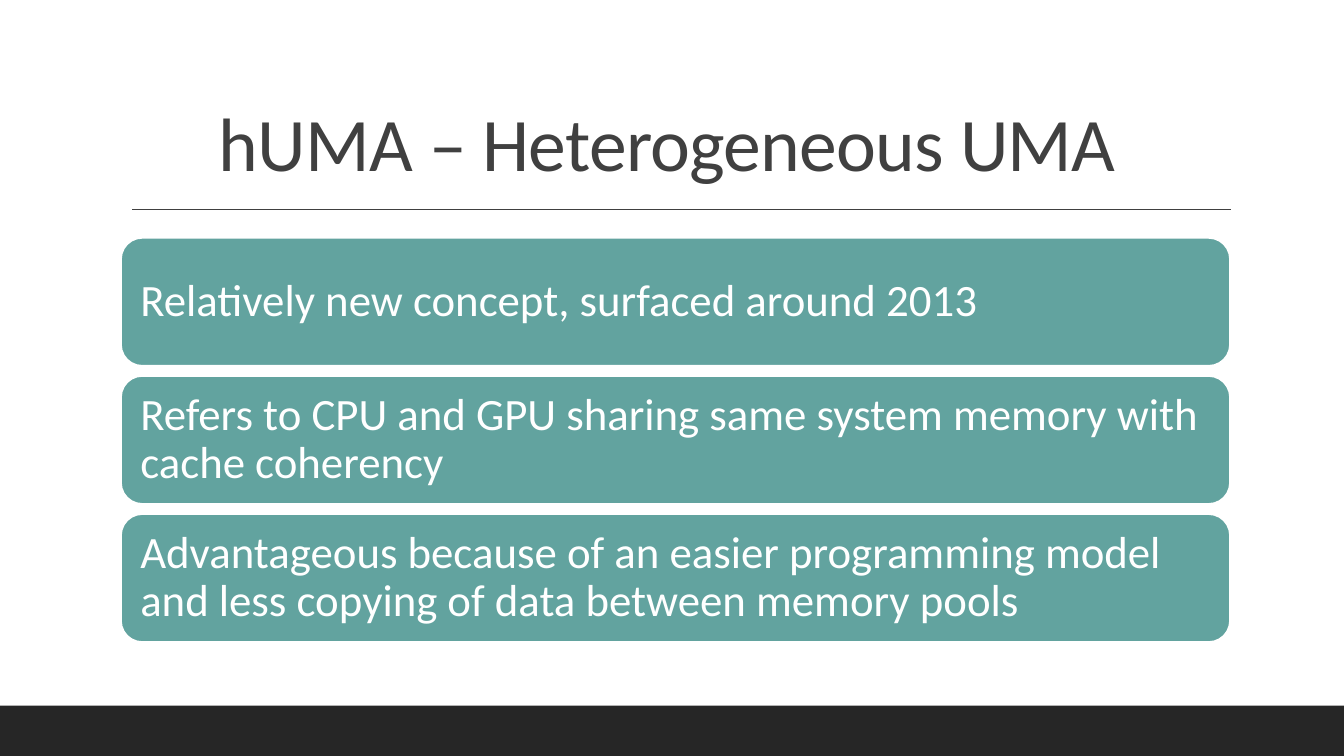
from lxml import etree
from pptx import Presentation
from pptx import util as u
from pptx.dml.color import RGBColor
from pptx.enum import shapes, text
from pptx.oxml.ns import qn

W, H = 13.33, 7.5
LEFT, WIDTH = 1.2, 11
CARD_TOP, CARD_HEIGHT, CARD_PITCH = 2.36, 1.27, 1.37
DARK, TEAL, WHITE = "404040", "62A39F", "FFFFFF"
POINTS = [
    "Relatively new concept, surfaced around 2013",
    "Refers to CPU and GPU sharing same system memory with cache coherency",
    "Advantageous because of an easier programming model and less copying of data between memory pools",
]


def rgb(value):
    return RGBColor.from_string(value)


def format_text(tf, size, color, align, spacing):
    tf.word_wrap = True
    tf.auto_size = text.MSO_AUTO_SIZE.NONE
    p = tf.paragraphs[0]
    p.alignment = align
    p.line_spacing = spacing
    font = p.runs[0].font
    font.name = "Calibri"
    font.size = u.Pt(size)
    font.color.rgb = rgb(color)


prs = Presentation()
prs.slide_width, prs.slide_height = u.Inches(W), u.Inches(H)
s = prs.slides.add_slide(prs.slide_layouts[5])

# Footer band
band = s.shapes.add_shape(shapes.MSO_SHAPE.RECTANGLE, 0, u.Inches(7), prs.slide_width, u.Inches(H - 7))
band.shadow.inherit = False
band.fill.solid()
band.fill.fore_color.rgb = rgb("262626")
band.line.fill.background()

# Title and the rule below it
title = s.shapes.title
title.left, title.top = u.Inches(LEFT), u.Inches(0.31)
title.width, title.height = u.Inches(WIDTH), u.Inches(1.59)
tf = title.text_frame
tf.text = "hUMA – Heterogeneous UMA "
tf.vertical_anchor = text.MSO_ANCHOR.BOTTOM
format_text(tf, 54, DARK, text.PP_ALIGN.CENTER, 0.8)
tf.paragraphs[0].runs[0].font._element.set("spc", "-50")

rule = s.shapes.add_connector(
    shapes.MSO_CONNECTOR.STRAIGHT, u.Inches(1.31), u.Inches(2.08), u.Inches(12.21), u.Inches(2.08))
rule.line.color.rgb = rgb(DARK)
rule.line.width = u.Pt(1)
etree.SubElement(rule._element.spPr, qn("a:effectLst"))

# One card per point
for row, point in enumerate(POINTS):
    card = s.shapes.add_shape(
        shapes.MSO_SHAPE.ROUNDED_RECTANGLE, u.Inches(LEFT), u.Inches(CARD_TOP + row * CARD_PITCH),
        u.Inches(WIDTH), u.Inches(CARD_HEIGHT))
    card.shadow.inherit = False
    card.fill.solid()
    card.fill.fore_color.rgb = rgb(TEAL)
    card.line.color.rgb = rgb(WHITE)
    card.line.width = u.Pt(1.25)
    tf = card.text_frame
    tf.text = point
    tf.vertical_anchor = text.MSO_ANCHOR.MIDDLE
    tf.margin_left = tf.margin_right = tf.margin_top = tf.margin_bottom = u.Inches(0.13)
    format_text(tf, 32, WHITE, text.PP_ALIGN.LEFT, 0.9)

prs.save("out.pptx")
